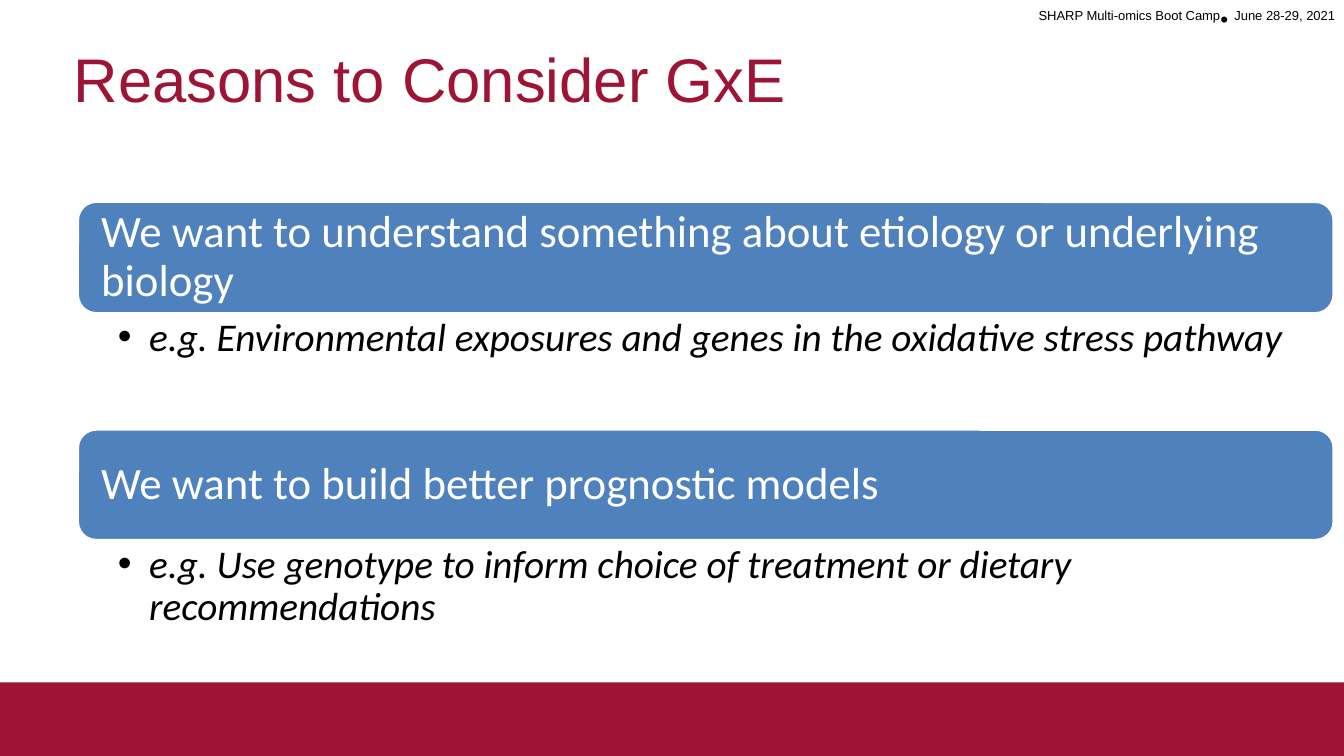
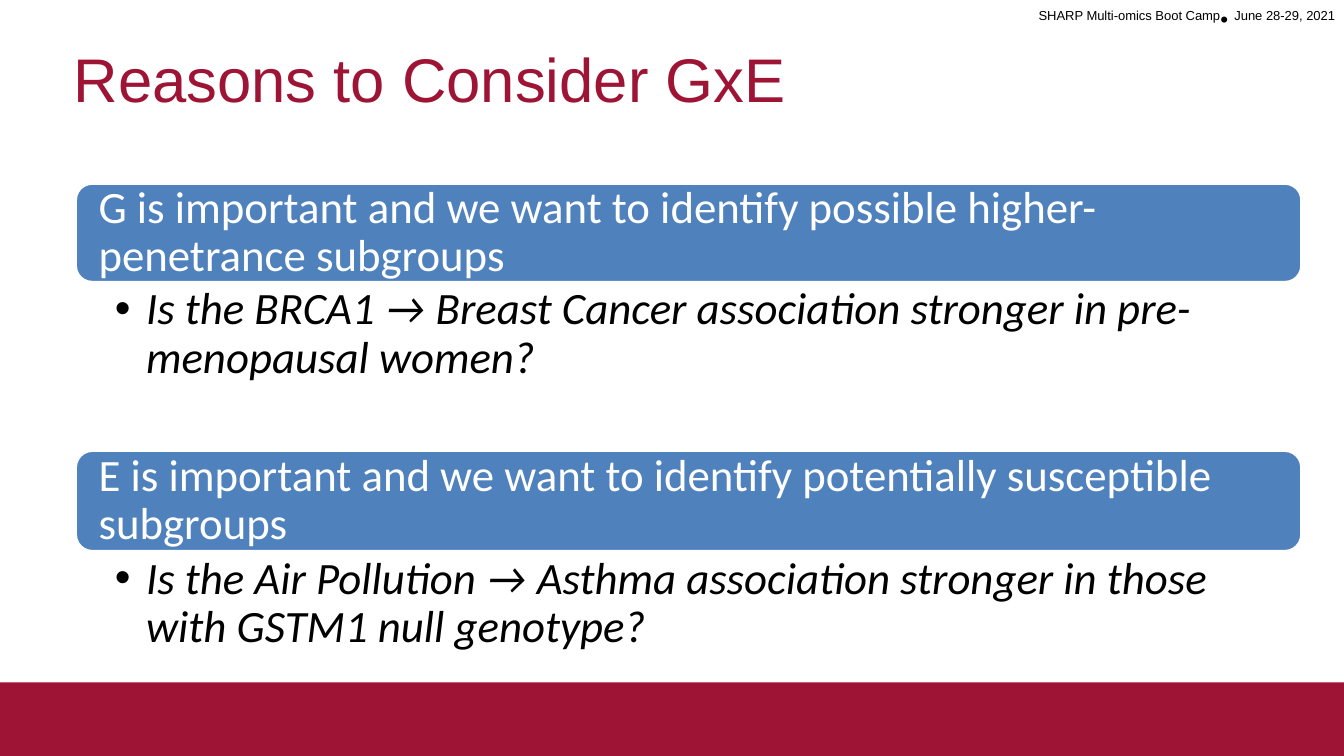
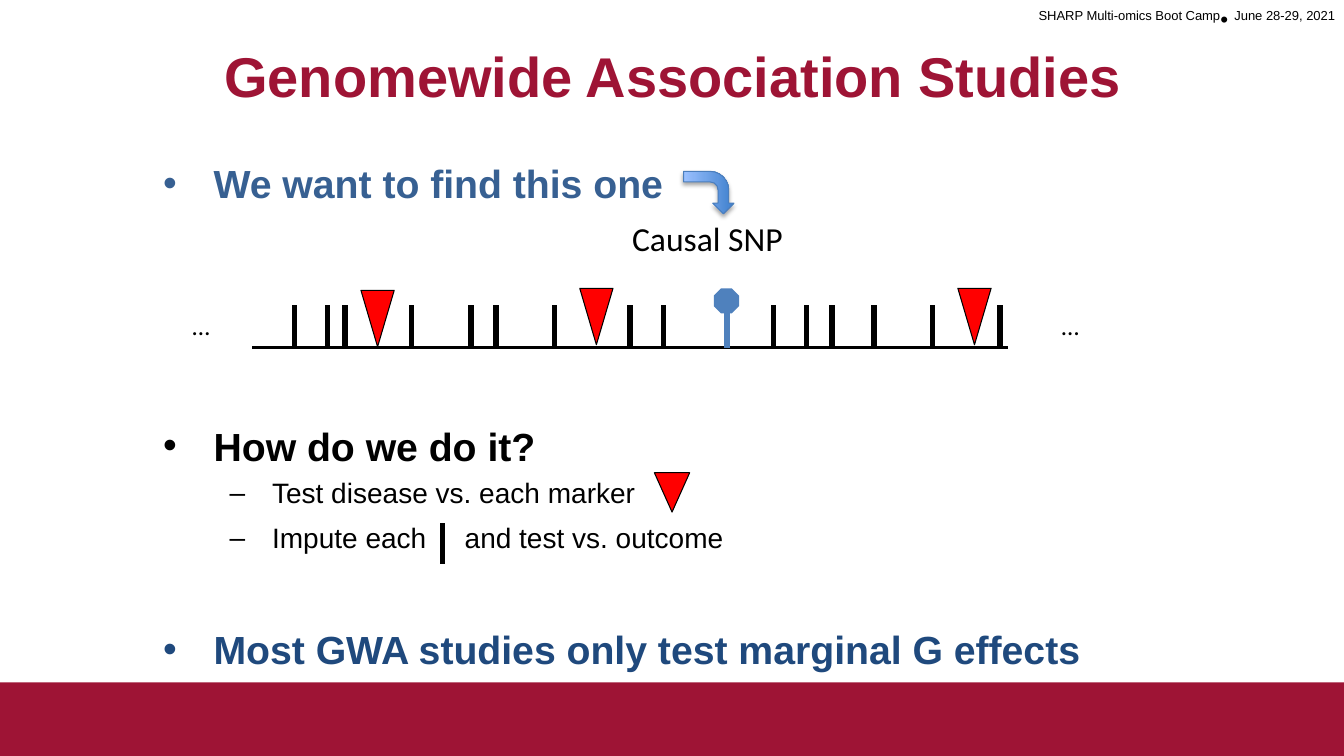
"""Build three slides on gene-environment interaction and genomewide association."""
import lxml.etree
import pptx
import pptx.dml.color
import pptx.enum.shapes
import pptx.enum.text
import pptx.oxml
import pptx.oxml.ns
import pptx.util

Inches = pptx.util.Inches
Pt = pptx.util.Pt
Shapes = pptx.enum.shapes.MSO_SHAPE
Align = pptx.enum.text.PP_ALIGN
Anchor = pptx.enum.text.MSO_ANCHOR

CRIMSON, BLUE, RED = "9E1435", "4F81BD", "FF0000"
BLACK, WHITE = "000000", "FFFFFF"

HEADER = [("SHARP Multi-omics Boot Camp", 30), ("• ", 0), ("June 28-29, 2021", 30)]

REASONS = [
    {
        "title": "Reasons to Consider GxE",
        "left": 0.77, "width": 12.46, "caption_size": 28, "caption_insets": (0.4, 0.04, 0.22, 0.04),
        "cards": [
            (2, 1.11, 1.16, "We want to understand something about etiology or underlying biology",
             "e.g. Environmental exposures and genes in the oxidative stress pathway"),
            (4.26, 1.1, 1.16, "We want to build better prognostic models",
             "e.g. Use genotype to inform choice of treatment or dietary recommendations"),
        ],
    },
    {
        "title": "Reasons to Consider GxE",
        "left": 0.75, "width": 12.16, "caption_size": 32, "caption_insets": (0.39, 0.04, 0.25, 0.04),
        "cards": [
            (1.82, 0.98, 1.67, "G is important and we want to identify possible higher-penetrance subgroups",
             "Is the BRCA1 → Breast Cancer association stronger in pre-menopausal women?"),
            (4.47, 1, 1.16, "E is important and we want to identify potentially susceptible subgroups",
             "Is the Air Pollution → Asthma association stronger in those with GSTM1 null genotype?"),
        ],
    },
]

STUDY_TITLE = "Genomewide Association Studies"
HEADING = {"size": Pt(28), "name": "Arial", "bold": True}
DETAIL = {"size": Pt(20), "name": "Arial", "bold": False, "color": BLACK}
HEADING_BULLET = ("•", 0.5, 0.5)
DETAIL_BULLET = ("–", 1.08, 0.42)
STUDY_POINTS = [
    ("We want to find this one", HEADING | {"color": "376092"}, HEADING_BULLET, 0),
    ("How do we do it?", HEADING | {"color": BLACK}, HEADING_BULLET, 154),
    ("Test disease vs. each marker", DETAIL, DETAIL_BULLET, 5),
    ("Impute each\tand test vs. outcome", DETAIL, DETAIL_BULLET, 8),
    ("Most GWA studies only test marginal G effects", HEADING | {"color": "1F497D"}, HEADING_BULLET, 51),
]
TAB_POSITION = 2.99
AXIS_TOP, AXIS_BOTTOM = 3.03, 3.45
VARIANTS = [2.92, 3.25, 3.42, 4.08, 4.67, 4.92, 5.5, 6.25, 6.58, 7.67, 8, 8.25, 8.67, 9.25, 9.92]
MARKERS = [
    (3.58, 2.88, 0.33, 0.56), (5.75, 2.86, 0.33, 0.56), (9.5, 2.86, 0.33, 0.56),
    (6.49, 4.69, 0.35, 0.39),
]
LABELS = [
    ("…", (1.81, 3.03, 1.25, 0.4), 18),
    ("…", (10.43, 3.03, 1.25, 0.4), 18),
    ("Causal SNP", (6.17, 2.11, 1.71, 0.5), 24),
]


def rgb(value):
    return pptx.dml.color.RGBColor.from_string(value)


def apply(target, values):
    for name, value in values.items():
        setattr(target, name, value)


def add_run(paragraph, text, font):
    run = paragraph.add_run()
    run.text = text
    apply(run.font, {name: value for name, value in font.items() if name != "color"})
    run.font.color.rgb = rgb(font["color"])
    return run


def set_frame(shape, insets=(0.1, 0.05, 0.1, 0.05), anchor=Anchor.TOP, wrap=True):
    names = ("margin_left", "margin_top", "margin_right", "margin_bottom")
    frame = shape.text_frame
    apply(frame, dict(zip(names, map(Inches, insets))))
    apply(frame, {"word_wrap": wrap, "vertical_anchor": anchor,
                  "auto_size": pptx.enum.text.MSO_AUTO_SIZE.NONE})
    return frame


def add_text_box(slide, box, **frame_values):
    return set_frame(slide.shapes.add_textbox(*map(Inches, box)), **frame_values)


def add_child(parent, tag, **attributes):
    child = lxml.etree.SubElement(parent, pptx.oxml.ns.qn(tag))
    for name, value in attributes.items():
        child.set(name, str(value))
    return child


def set_bullet(paragraph, character, margin, hanging, tab=None):
    properties = paragraph._p.get_or_add_pPr()
    properties.set("marL", str(Inches(margin)))
    properties.set("indent", str(-Inches(hanging)))
    add_child(properties, "a:buFont", typeface="Arial")
    add_child(properties, "a:buChar", char=character)
    if tab:
        add_child(add_child(properties, "a:tabLst"), "a:tab", pos=Inches(tab), algn="l")


def add_shape(slide, kind, box, fill=None, line=None, line_width=0.75, rotation=0):
    shape = slide.shapes.add_shape(kind, *map(Inches, box))
    shape.shadow.inherit = False
    shape.rotation = rotation
    if fill:
        shape.fill.solid()
        shape.fill.fore_color.rgb = rgb(fill)
    if line:
        shape.line.color.rgb = rgb(line)
        shape.line.width = Pt(line_width)
    else:
        shape.line.fill.background()
    return shape


def add_line(slide, start, end, color=BLACK, width=4):
    line = slide.shapes.add_connector(
        pptx.enum.shapes.MSO_CONNECTOR.STRAIGHT, *map(Inches, start + end))
    line.line.color.rgb = rgb(color)
    line.line.width = Pt(width)
    add_child(line._element.spPr, "a:effectLst")


def add_slide(presentation, title, height=0.84, align=Align.LEFT, **font):
    slide = presentation.slides.add_slide(presentation.slide_layouts[5])
    shape = slide.shapes.title
    apply(shape, {"left": Inches(0.67), "top": Inches(0.3),
                  "width": Inches(12), "height": Inches(height)})
    paragraph = set_frame(shape, insets=(0.06, 0.11, 0.06, 0.05)).paragraphs[0]
    paragraph.alignment = align
    add_run(paragraph, title, {"name": "Arial", "size": Pt(44), "color": CRIMSON} | font)
    return slide


def move_furniture_to_layout(slide):
    layout = slide.slide_layout
    for placeholder in list(layout.placeholders)[1:]:
        layout.shapes.element.remove(placeholder.element)
    band = add_shape(slide, Shapes.RECTANGLE, (0, 6.77, 13.33, 0.73), CRIMSON)
    header = slide.shapes.add_textbox(*map(Inches, (8.06, 0, 5.28, 0.37)))
    paragraph = set_frame(header).paragraphs[0]
    paragraph.alignment = Align.RIGHT
    for text, baseline in HEADER:
        run = add_run(paragraph, text, {"name": "Arial", "size": Pt(16), "color": BLACK})
        run.font._element.set("baseline", str(baseline * 1000))
    for shape in (band, header):
        layout.shapes.element.append(shape.element)


def add_reasons(slide, reasons):
    left, width = reasons["left"], reasons["width"]
    for top, height, caption_height, reason, example in reasons["cards"]:
        card = add_shape(slide, Shapes.ROUNDED_RECTANGLE, (left, top, width, height), BLUE, WHITE, 2)
        paragraph = set_frame(card, (0.18, 0, 0.18, 0), Anchor.MIDDLE).paragraphs[0]
        apply(paragraph, {"alignment": Align.LEFT, "line_spacing": 0.9})
        add_run(paragraph, reason, {"name": "Calibri", "size": Pt(32), "color": WHITE})

        caption = add_text_box(slide, (left, top + height, width, caption_height),
                               insets=reasons["caption_insets"])
        paragraph = caption.paragraphs[0]
        set_bullet(paragraph, "•", 0.31, 0.31)
        paragraph.line_spacing = 0.9
        add_run(paragraph, example, {"name": "Calibri", "size": Pt(reasons["caption_size"]),
                                     "italic": True, "color": BLACK})


def add_study_points(slide):
    frame = add_text_box(slide, (1.52, 1.53, 10.79, 5.17))
    for index, (text, font, bullet, space) in enumerate(STUDY_POINTS):
        paragraph = frame.add_paragraph() if index else frame.paragraphs[0]
        set_bullet(paragraph, *bullet, tab=TAB_POSITION if "\t" in text else None)
        paragraph.space_before = Pt(space)
        add_run(paragraph, text, font)


def add_chromosome(slide):
    add_line(slide, (2.5, AXIS_BOTTOM), (10, AXIS_BOTTOM), width=2)
    for x in VARIANTS:
        add_line(slide, (x, AXIS_TOP), (x, AXIS_BOTTOM))
    for box in MARKERS:
        add_shape(slide, Shapes.ISOSCELES_TRIANGLE, box, RED, BLACK, rotation=180)
    add_line(slide, (4.39, 5.19), (4.39, 5.6))
    add_line(slide, (7.21, AXIS_TOP), (7.21, AXIS_BOTTOM), BLUE)
    add_shape(slide, Shapes.OCTAGON, (7.08, 2.86, 0.25, 0.25), BLUE)
    for text, box, size in LABELS:
        paragraph = add_text_box(slide, box, wrap=False).paragraphs[0]
        add_run(paragraph, text, {"name": "Calibri", "size": Pt(size), "color": BLACK})


def add_pointer(slide):
    arrow = add_shape(slide, Shapes.BENT_ARROW, (6.82, 1.66, 0.42, 0.5), line="4B7EBC", rotation=90)
    arrow.fill.gradient()
    arrow.fill.gradient_angle = 90
    for stop, color in zip(arrow.fill.gradient_stops, ("9BC1FF", "3F80CD")):
        stop.color.rgb = rgb(color)
    effects = arrow._element.spPr.find(pptx.oxml.ns.qn("a:effectLst"))
    shadow = add_child(effects, "a:outerShdw", blurRad=Pt(3.1), dist=Pt(1.8),
                       dir=90 * 60000, rotWithShape=0)
    add_child(add_child(shadow, "a:srgbClr", val=BLACK), "a:alpha", val=35000)


def main():
    presentation = pptx.Presentation()
    apply(presentation, {"slide_width": Inches(13.33), "slide_height": Inches(7.5)})
    for reasons in REASONS:
        add_reasons(add_slide(presentation, reasons["title"]), reasons)
    slide = add_slide(presentation, STUDY_TITLE, 1.25, Align.CENTER, size=Pt(40), bold=True)
    add_study_points(slide)
    add_chromosome(slide)
    add_pointer(slide)
    move_furniture_to_layout(slide)
    presentation.save("out.pptx")


if __name__ == "__main__":
    main()
